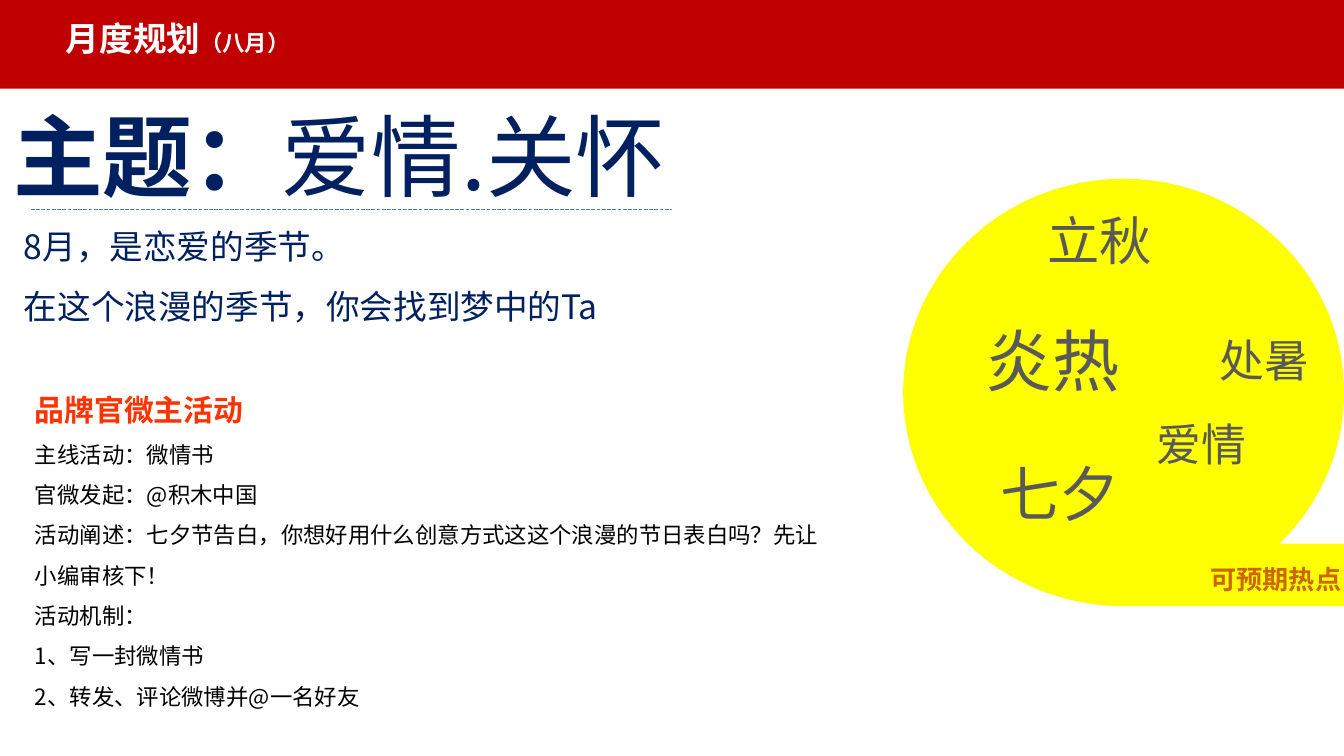
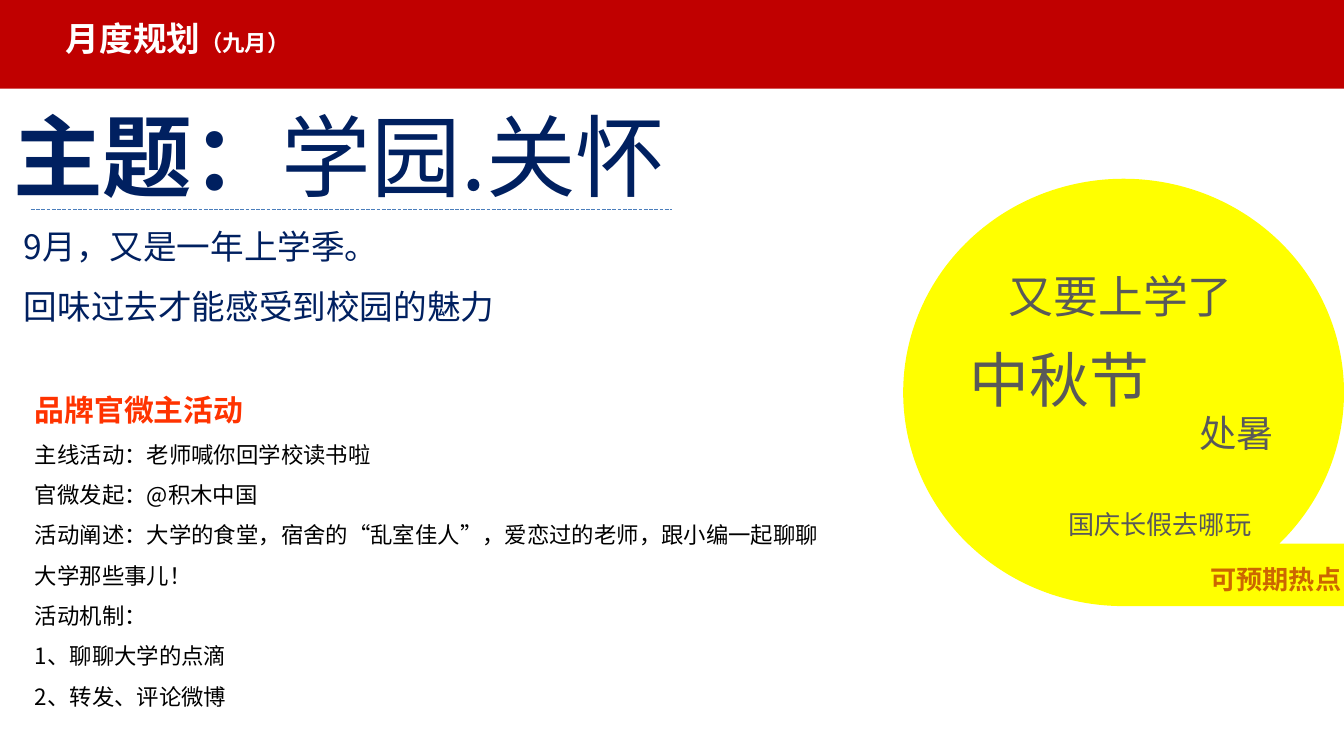
from typing import NamedTuple

from lxml.etree import SubElement
from pptx import Presentation
from pptx.dml.color import RGBColor
from pptx.enum.dml import MSO_LINE
from pptx.enum.shapes import MSO_CONNECTOR, MSO_SHAPE
from pptx.enum.text import MSO_ANCHOR, MSO_AUTO_SIZE, PP_ALIGN
from pptx.oxml.ns import qn
from pptx.util import Emu, Inches, Pt

FONT = "Noto Sans CJK SC"
COLORS = {
    "band": "C00000", "white": "FFFFFF", "navy": "002060", "yellow": "FFFF00",
    "amber": "CC6600", "rule": "4B7EBC", "orange": "FF3300", "black": "000000",
    "gray": "595959",
}
WIDTH, HEIGHT = Inches(10), Inches(5.625)
CELL = WIDTH / 100  # square grid cell: 100 columns across the slide


class Box(NamedTuple):
    """A place on the grid, in columns and rows."""
    left: float
    top: float
    width: float
    height: float

    def emu(self) -> list[Emu]:
        return [Emu(round(cells * CELL)) for cells in self]


class Style(NamedTuple):
    size: int
    color: str
    bold: bool = False


class Span(NamedTuple):
    text: str
    style: Style


class HotWord(NamedTuple):
    text: str
    size: int
    left: float
    top: float
    width: float = 22.4


class Month(NamedTuple):
    name: str
    theme: str
    intro: list[str]
    activity: list[str]
    hot_words: list[HotWord]


BAND = Box(0, 0, 100, 6.6)
HEADING = Box(3.9, 0.8, 22.7, 4)
THEME = Box(0, 7, 56.7, 9.1)
INTRO = Box(0.8, 14.8, 63.3, 10.1)
ACTIVITY = Box(1.6, 27.3, 61.7, 26.2)
BUBBLE = Box(67.2, 13.3, 32.8, 31.8)
BUBBLE_LABEL = Box(82.4, 41.4, 18.4, 3.4)
RULE = Box(2.3, 15.6, 47.7, 0)

MONTHS = [
    Month(
        "八月", "爱情.关怀",
        ["8月，是恋爱的季节。", "在这个浪漫的季节，你会找到梦中的Ta"],
        ["主线活动：微情书", "官微发起：@积木中国",
         "活动阐述：七夕节告白，你想好用什么创意方式这这个浪漫的节日表白吗？先让小编审核下！",
         "活动机制：", "1、写一封微情书", "2、转发、评论微博并@一名好友"],
        [HotWord("炎热", 36, 61.9, 23.3), HotWord("七夕", 32, 61.9, 33.5),
         HotWord("立秋", 28, 64.3, 15), HotWord("爱情", 24, 71.3, 30.5),
         HotWord("处暑", 24, 76, 24.3)],
    ),
    Month(
        "九月", "学园.关怀",
        ["9月，又是一年上学季。", "回味过去才能感受到校园的魅力"],
        ["主线活动：老师喊你回学校读书啦", "官微发起：@积木中国",
         "活动阐述：大学的食堂，宿舍的“乱室佳人”，爱恋过的老师，跟小编一起聊聊大学那些事儿！",
         "活动机制：", "1、聊聊大学的点滴", "2、转发、评论微博"],
        [HotWord("中秋节", 32, 64.1, 25), HotWord("又要上学了", 24, 70.3, 19.5),
         HotWord("国庆长假去哪玩", 14, 60.2, 37.3, 33.9),
         HotWord("处暑", 20, 73.4, 30)],
    ),
]


def rgb(name: str) -> RGBColor:
    return RGBColor.from_string(COLORS[name])


def write(shape, lines: list[list[Span]], align=PP_ALIGN.LEFT, spacing: float = 1.0) -> None:
    """Fill a shape with paragraphs of styled spans."""
    frame = shape.text_frame
    frame.word_wrap = True
    frame.auto_size = MSO_AUTO_SIZE.SHAPE_TO_FIT_TEXT
    frame.vertical_anchor = MSO_ANCHOR.TOP
    for number, spans in enumerate(lines):
        paragraph = frame.add_paragraph() if number else frame.paragraphs[0]
        if shape.is_placeholder:
            properties = paragraph._p.get_or_add_pPr()
            properties.set("marL", "0")
            properties.set("indent", "0")
            SubElement(properties, qn("a:buNone"))
        paragraph.alignment = align
        paragraph.line_spacing = spacing
        paragraph.space_before = Pt(0)
        for text, style in spans:
            run = paragraph.add_run()
            run.text = text
            run.font.name = FONT
            run.font.size = Pt(style.size)
            run.font.bold = style.bold
            run.font.color.rgb = rgb(style.color)
    # East Asian text needs its own font entry
    for latin in list(shape.element.iter(qn("a:latin"))):
        east_asian = latin.makeelement(qn("a:ea"), {"typeface": FONT})
        latin.addnext(east_asian)


def place(shape, box: Box) -> None:
    shape.left, shape.top, shape.width, shape.height = box.emu()


def add_text(slide, box: Box, lines: list[list[Span]], **layout) -> None:
    write(slide.shapes.add_textbox(*box.emu()), lines, **layout)


def add_filled(slide, kind, box: Box, color: str):
    shape = slide.shapes.add_shape(kind, *box.emu())
    shape.shadow.inherit = False
    shape.fill.solid()
    shape.fill.fore_color.rgb = rgb(color)
    shape.line.fill.background()
    return shape


def add_rule(slide) -> None:
    left, top, width, _ = RULE.emu()
    rule = slide.shapes.add_connector(MSO_CONNECTOR.STRAIGHT, left, top, left + width, top)
    rule.line.color.rgb = rgb("rule")
    rule.line.width = Pt(0.25)
    rule.line.dash_style = MSO_LINE.LONG_DASH
    SubElement(rule.element.spPr, qn("a:effectLst"))


def move_to_master(shape, master) -> None:
    """Let every slide share the shape, behind its own content."""
    shape.element.nvSpPr.cNvPr.set("id", "20")
    master.shapes.element.insert(2, shape.element)


def add_month(slide, month: Month) -> None:
    # Heading on the band
    heading, activity = slide.shapes.title, slide.placeholders[1]
    place(heading, HEADING)
    write(heading, [[Span("月度规划", Style(18, "white", True)),
                     Span(f"（{month.name}）", Style(12, "white", True))]])

    # Theme of the month
    add_text(slide, THEME, [[Span("主题：", Style(48, "navy", True)),
                             Span(month.theme, Style(48, "navy"))]])
    add_text(slide, INTRO, [[Span(line, Style(18, "navy"))] for line in month.intro],
             spacing=1.5)
    add_rule(slide)

    # Main activity
    place(activity, ACTIVITY)
    title = Span("品牌官微主活动", Style(16, "orange", True))
    details = [Span(line, Style(12, "black")) for line in month.activity]
    write(activity, [[span] for span in (title, *details)], spacing=1.5)

    # Expected hot topics
    add_filled(slide, MSO_SHAPE.FLOWCHART_SEQUENTIAL_ACCESS_STORAGE, BUBBLE, "yellow")
    add_text(slide, BUBBLE_LABEL, [[Span("可预期热点", Style(14, "amber", True))]],
             align=PP_ALIGN.RIGHT)
    for word in month.hot_words:
        box = Box(word.left, word.top, word.width, 1 + 0.17 * word.size)
        add_text(slide, box, [[Span(word.text, Style(word.size, "gray"))]],
                 align=PP_ALIGN.RIGHT)


def main() -> None:
    deck = Presentation()
    deck.slide_width, deck.slide_height = WIDTH, HEIGHT
    slides = [deck.slides.add_slide(deck.slide_layouts[1]) for _ in MONTHS]
    band = add_filled(slides[0], MSO_SHAPE.RECTANGLE, BAND, "band")
    move_to_master(band, deck.slide_master)
    for slide, month in zip(slides, MONTHS):
        add_month(slide, month)
    deck.save("out.pptx")


if __name__ == "__main__":
    main()
